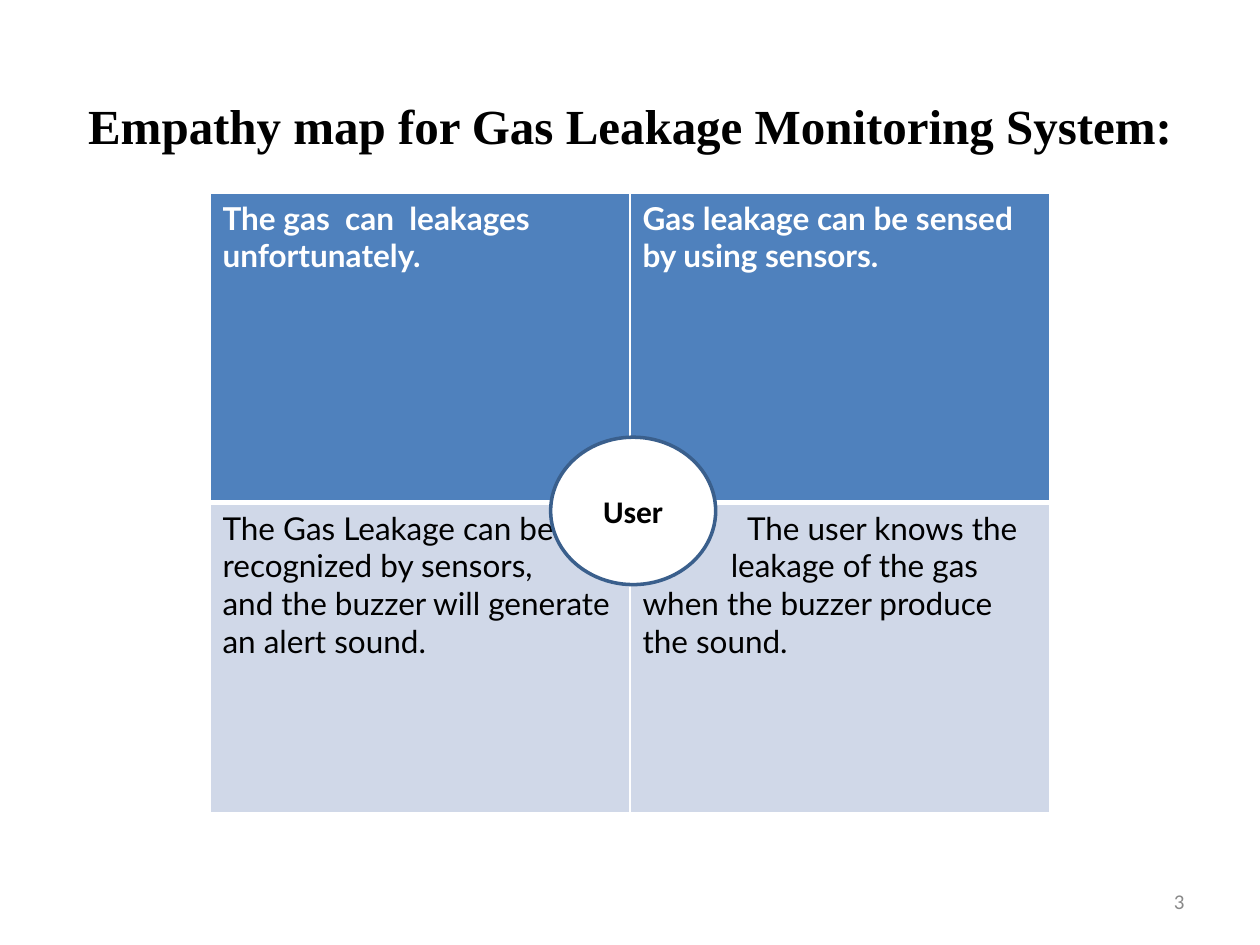
from lxml import etree
from pptx import Presentation
from pptx.dml.color import RGBColor
from pptx.enum.shapes import MSO_SHAPE
from pptx.enum.text import MSO_ANCHOR, PP_ALIGN
from pptx.oxml.ns import qn
from pptx.util import Inches, Pt

OVAL = MSO_SHAPE.OVAL
MIDDLE = MSO_ANCHOR.MIDDLE
CENTER, RIGHT = PP_ALIGN.CENTER, PP_ALIGN.RIGHT
WIDTH, HEIGHT = 10, 7.5
TITLE_ONLY = 5
WHITE, BLACK = "FFFFFF", "000000"
TITLE_BOX = (0.5, 0.7, 9, 0.59)
MAP_BOX = (WIDTH / 6, 1.53, WIDTH * 2 / 3, 4.92)
USER_BOX = (4.37, 3.47, 1.31, 1.17)
NUMBER_BOX = (7.17, 6.95, 2.33, 0.4)
ROW_STYLES = [("4F81BD", WHITE, True), ("D0D8E8", BLACK, False)]
QUADRANTS = [
    [
        [("The gas  can  leakages  unfortunately.", 0)],
        [("Gas leakage can be sensed by using sensors.", 0)],
    ],
    [
        [
            ("The Gas Leakage can be", 0),
            ("recognized by sensors,", 0),
            ("and the buzzer will generate an alert sound.", 0),
        ],
        [
            ("The user knows the", 0.83),
            ("leakage of the gas when the buzzer produce the sound.", 0.7),
        ],
    ],
]


def color(value):
    """Turn a hex string into a colour."""
    return RGBColor.from_string(value)


def inches(box):
    """Turn a box in inches into slide lengths."""
    return [Inches(length) for length in box]


def style(para, size, face, ink, bold=False, align=None):
    """Set the font and alignment of a paragraph."""
    font = para.font
    font.size, font.name, font.bold = Pt(size), face, bold
    font.color.rgb = color(ink)
    para.alignment = align


def write_line(frame, text, *look):
    """Write one vertically centred, styled line in a text frame."""
    frame.word_wrap = True
    frame.vertical_anchor = MIDDLE
    para = frame.paragraphs[0]
    para.text = text
    style(para, *look)


def add_border(cell, side, points):
    """Draw a white border on one side of a cell."""
    props = cell._tc.get_or_add_tcPr()
    line = etree.SubElement(props, qn(f"a:ln{side}"), w=str(Pt(points)))
    fill = etree.SubElement(line, qn("a:solidFill"))
    etree.SubElement(fill, qn("a:srgbClr"), val=WHITE)


def fill_quadrant(cell, lines, fill, ink, bold):
    """Write the lines of one quadrant, indenting their first rows."""
    cell.fill.solid()
    cell.fill.fore_color.rgb = color(fill)
    frame = cell.text_frame
    frame.text = "\n".join(text for text, _ in lines)
    for para, (_, indent) in zip(frame.paragraphs, lines):
        style(para, 18, "Lato", ink, bold)
        if indent:
            props = para._p.get_or_add_pPr()
            props.set("marL", "0")
            props.set("indent", str(Inches(indent)))


def add_title(slide, box):
    """Place and format the slide title."""
    title = slide.shapes.title
    title.left, title.top, title.width, title.height = inches(box)
    write_line(title.text_frame, "Empathy map for Gas Leakage Monitoring System:",
               28, "Times New Roman", BLACK, True, CENTER)


def add_map(slide, box):
    """Add the table of four quadrants."""
    rows, columns = len(QUADRANTS), len(QUADRANTS[0])
    table = slide.shapes.add_table(rows, columns, *inches(box)).table
    for row, (quadrants, look) in enumerate(zip(QUADRANTS, ROW_STYLES)):
        table.rows[row].height = Inches(box[3] / rows)
        for column, lines in enumerate(quadrants):
            cell = table.cell(row, column)
            widths = {"L": 1, "R": 1, "T": 3 if row else 1, "B": 1 if row else 3}
            for side, points in widths.items():
                add_border(cell, side, points)
            fill_quadrant(cell, lines, *look)


def add_user(slide, box):
    """Add the user circle at the heart of the map."""
    circle = slide.shapes.add_shape(OVAL, *inches(box))
    circle.shadow.inherit = False
    circle.fill.solid()
    circle.fill.fore_color.rgb = color(WHITE)
    circle.line.color.rgb = color("3A5F8C")
    circle.line.width = Pt(2)
    write_line(circle.text_frame, "User", 18, "Calibri", BLACK, True, CENTER)


def add_number(slide, box):
    """Add the slide number."""
    number = slide.shapes.add_textbox(*inches(box))
    write_line(number.text_frame, "3", 12, "Calibri", "898989", False, RIGHT)


def main():
    """Build and save the deck."""
    deck = Presentation()
    deck.slide_width, deck.slide_height = Inches(WIDTH), Inches(HEIGHT)
    slide = deck.slides.add_slide(deck.slide_layouts[TITLE_ONLY])
    add_title(slide, TITLE_BOX)
    add_number(slide, NUMBER_BOX)
    add_map(slide, MAP_BOX)
    add_user(slide, USER_BOX)
    deck.save("out.pptx")


if __name__ == "__main__":
    main()
